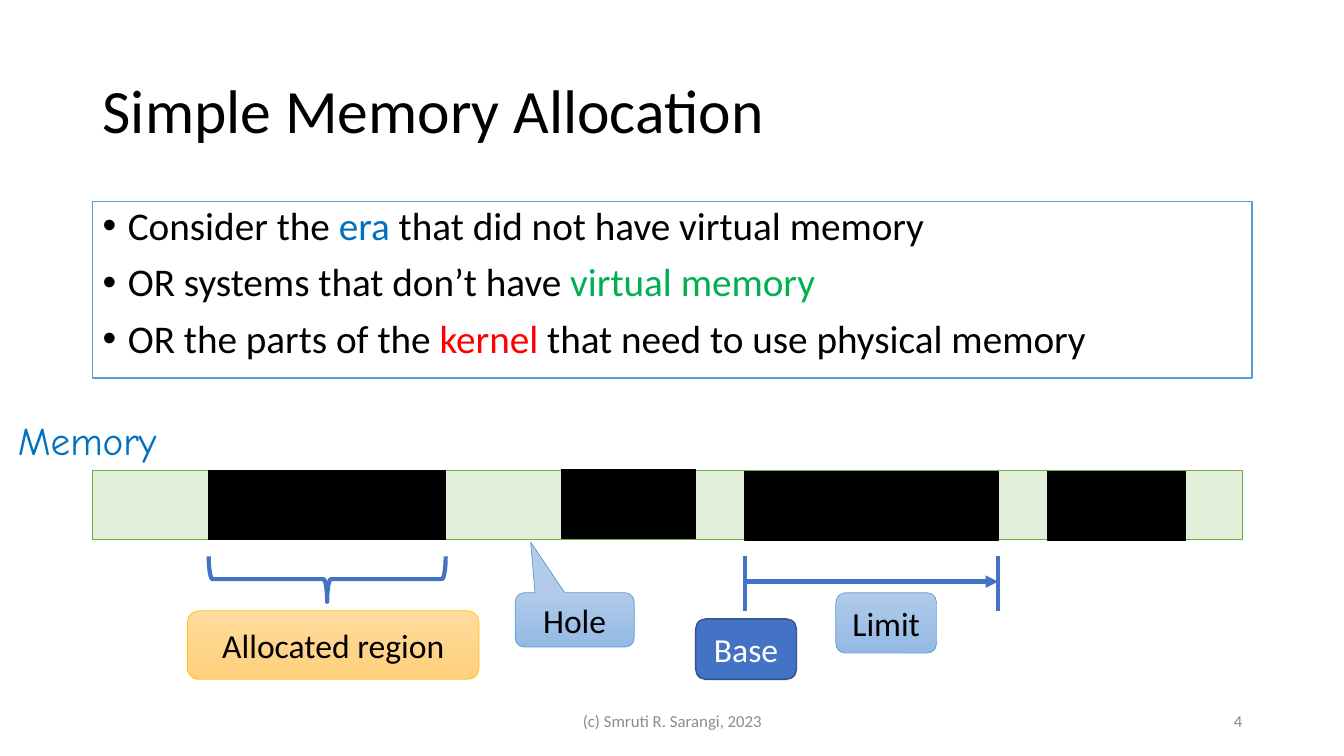
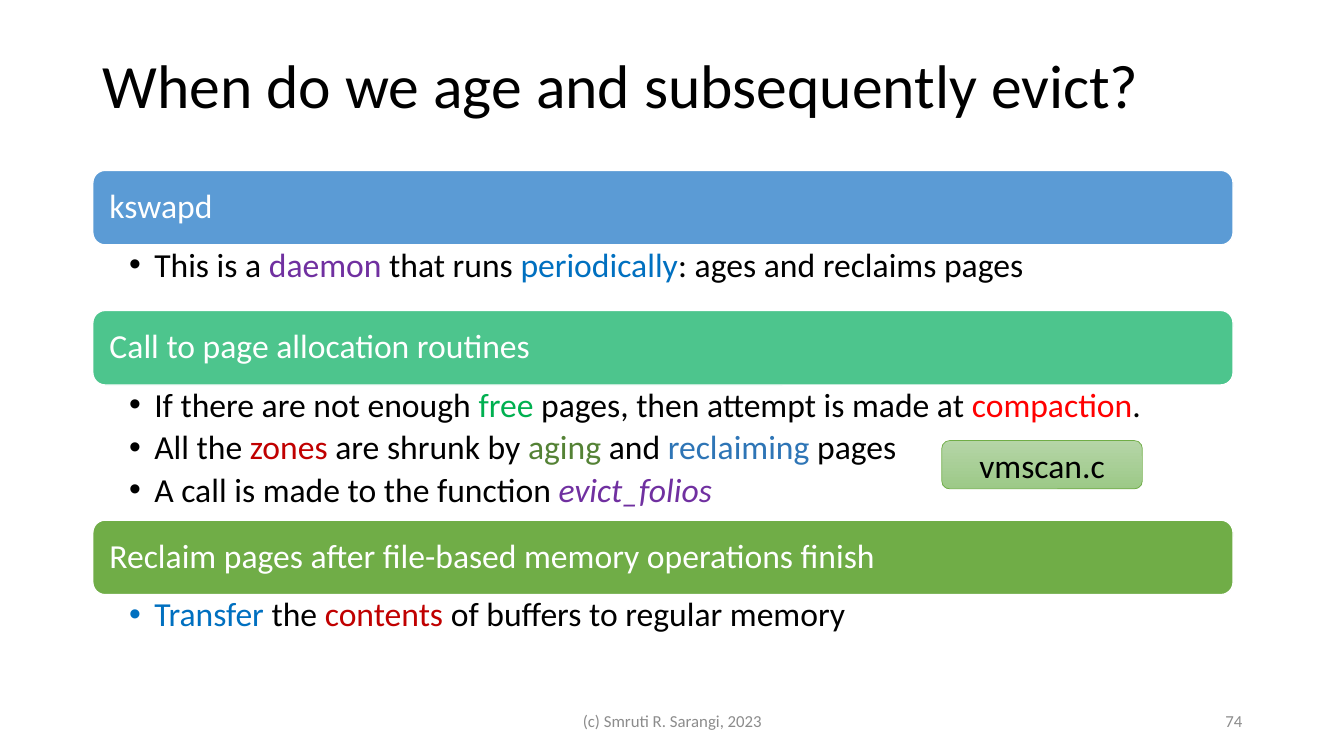
"""Build two lecture slides on memory allocation and page eviction."""
from dataclasses import dataclass
from typing import NamedTuple

from lxml.etree import SubElement
from pptx import Presentation
from pptx.dml.color import RGBColor
from pptx.enum.shapes import MSO_CONNECTOR, MSO_SHAPE
from pptx.enum.text import MSO_ANCHOR, PP_ALIGN
from pptx.oxml.ns import qn
from pptx.presentation import Presentation as Deck
from pptx.shapes.autoshape import Shape
from pptx.slide import Slide
from pptx.util import Inches, Pt

COLORS = {
    "black": "000000", "white": "FFFFFF", "gray": "8C8C8C",
    "blue": "0070C0", "green": "00B050", "red": "FF0000",
    "dark red": "C00000", "purple": "7030A0", "olive": "548235",
    "steel": "2E75B6", "sky": "5B9BD5", "mint": "4DC58D",
    "leaf": "70AD47", "pale leaf": "E2F0D9", "gold": "FFC000",
    "royal": "4472C4", "navy": "325491",
    "gold top": "FFDB9E", "gold base": "FFD07C",
    "sky top": "B1CBE9", "sky base": "93B9E4",
    "leaf top": "B5D5A7", "leaf base": "9CC987",
}
FONT = "Calibri"
LEFT = 0.92
WIDTH = 11.5


class Area(NamedTuple):
    left: float
    top: float
    width: float
    height: float


class Span(NamedTuple):
    text: str
    color: str = ""
    italic: bool = False


Line = list[Span]


@dataclass(frozen=True)
class TextStyle:
    size: float
    color: str = "black"
    font: str = FONT
    align: PP_ALIGN = PP_ALIGN.LEFT
    anchor: MSO_ANCHOR = MSO_ANCHOR.MIDDLE
    spacing: float = 1.0
    before: float = 0
    after: float = 0
    bullet: bool = False
    wrap: bool = True
    margins: tuple[float, float, float, float] = (0.1, 0.05, 0.1, 0.05)


@dataclass(frozen=True)
class Look:
    fill: tuple[str, ...]
    line: str
    weight: float = 1


@dataclass(frozen=True)
class Label:
    text: str
    area: Area
    look: Look
    color: str = "black"
    kind: MSO_SHAPE = MSO_SHAPE.ROUNDED_RECTANGLE
    adjustments: tuple[float, ...] = ()


@dataclass(frozen=True)
class Section:
    heading: str
    color: str
    height: float
    lines: list[Line]


TITLE = TextStyle(44, spacing=0.9)
FOOTER = TextStyle(12, "gray", align=PP_ALIGN.CENTER)
NUMBER = TextStyle(12, "gray", align=PP_ALIGN.RIGHT)
BODY = TextStyle(28, anchor=MSO_ANCHOR.TOP, spacing=0.9, before=10, bullet=True)
MEMORY = TextStyle(28, "blue", "Comic Neue", anchor=MSO_ANCHOR.TOP, wrap=False)
HEADING = TextStyle(24, "white", spacing=0.9, margins=(0.13, 0.1, 0.13, 0.1))
DETAIL = TextStyle(24, anchor=MSO_ANCHOR.TOP, spacing=0.9, after=4.5, bullet=True,
                   margins=(0.36, 0.03, 0.19, 0.03))

GOLD = Look(("gold top", "gold base"), "gold", 0.5)
SKY = Look(("sky top", "sky base"), "sky", 0.5)
LEAF = Look(("leaf top", "leaf base"), "leaf", 0.5)

ERA_LINES = [
    [Span("Consider the "), Span("era", "blue"), Span(" that did not have virtual memory")],
    [Span("OR systems that don’t have "), Span("virtual memory", "green")],
    [Span("OR the parts of the "), Span("kernel", "red"),
     Span(" that need to use physical memory")],
]
MEMORY_BAR = Area(LEFT, 4.67, 11.4, 0.68)
ALLOCATED = Area(2.07, 4.67, 2.35, 0.68)
LIMITED = Area(7.39, 4.68, 2.51, 0.68)
BLOCKS = [ALLOCATED, Area(5.57, 4.66, 1.33, 0.68), LIMITED, Area(10.39, 4.68, 1.37, 0.68)]
MARK_TOP = 5.52
LABELS = [
    Label("Allocated region", Area(1.86, 6.06, 2.89, 0.68), GOLD),
    Label("Base", Area(6.9, 6.14, 1, 0.6), Look(("royal",), "navy"), "white"),
    Label("Limit", Area(8.29, 5.88, 1, 0.6), SKY),
    Label("Hole", Area(5.11, 5.88, 1.18, 0.54), SKY,
          kind=MSO_SHAPE.ROUNDED_RECTANGULAR_CALLOUT, adjustments=(-0.37, -1.43, 0.17)),
]
SOURCE_FILE = Label("vmscan.c", Area(9.34, 4.37, 1.99, 0.48), LEAF)
SECTIONS = [
    Section("kswapd", "sky", 0.65, [
        [Span("This is a "), Span("daemon", "purple"), Span(" that runs "),
         Span("periodically", "blue"), Span(": ages and reclaims pages")],
    ]),
    Section("Call to page allocation routines", "mint", 1.34, [
        [Span("If there are not enough "), Span("free", "green"),
         Span(" pages, then attempt is made at "), Span("compaction", "red"), Span(".")],
        [Span("All the "), Span("zones", "dark red"), Span(" are shrunk by "),
         Span("aging", "olive"), Span(" and "), Span("reclaiming", "steel"), Span(" pages")],
        [Span("A call is made to the function "), Span("evict_folios", "purple", True)],
    ]),
    Section("Reclaim pages after file-based memory operations finish", "leaf", 0.65, [
        [Span("Transfer", "blue"), Span(" the "), Span("contents", "dark red"),
         Span(" of buffers to regular memory")],
    ]),
]


def rgb(name: str) -> RGBColor:
    """Look up a colour by name."""
    return RGBColor.from_string(COLORS[name])


def write(shape: Shape, lines: list[Line], style: TextStyle) -> None:
    """Fill a shape with styled paragraphs."""
    frame = shape.text_frame
    frame.word_wrap = style.wrap
    frame.vertical_anchor = style.anchor
    (frame.margin_left, frame.margin_top,
     frame.margin_right, frame.margin_bottom) = map(Inches, style.margins)
    for index, line in enumerate(lines):
        para = frame.add_paragraph() if index else frame.paragraphs[0]
        para.alignment = style.align
        para.line_spacing = style.spacing
        para.space_before = Pt(style.before if index else 0)
        para.space_after = Pt(style.after)
        if style.bullet:
            properties = para._p.get_or_add_pPr()
            properties.set("marL", str(Inches(0.25)))
            properties.set("indent", str(Inches(-0.25)))
            SubElement(properties, qn("a:buFont"), typeface="Arial")
            SubElement(properties, qn("a:buChar"), char="•")
        para.font.name = style.font
        para.font.size = Pt(style.size)
        for span in line:
            run = para.add_run()
            run.text = span.text
            run.font.color.rgb = rgb(span.color or style.color)
            if span.italic:
                run.font.italic = True


def add_text(page: Slide, area: Area, lines: list[Line], style: TextStyle) -> None:
    """Add a text box."""
    write(page.shapes.add_textbox(*map(Inches, area)), lines, style)


def add_box(page: Slide, area: Area, look: Look,
            kind: MSO_SHAPE = MSO_SHAPE.RECTANGLE) -> Shape:
    """Add a shape with a plain, graded or empty fill."""
    box = page.shapes.add_shape(kind, *map(Inches, area))
    box.shadow.inherit = False
    if len(look.fill) > 1:
        box.fill.gradient()
        box.fill.gradient_angle = 270
        for stop, name in zip(box.fill.gradient_stops, look.fill):
            stop.color.rgb = rgb(name)
    elif look.fill:
        box.fill.solid()
        box.fill.fore_color.rgb = rgb(look.fill[0])
    else:
        box.fill.background()
    box.line.color.rgb = rgb(look.line)
    box.line.width = Pt(look.weight)
    return box


def add_label(page: Slide, label: Label) -> None:
    """Add a shape with a centred caption."""
    box = add_box(page, label.area, label.look, label.kind)
    for index, value in enumerate(label.adjustments):
        box.adjustments[index] = value
    write(box, [[Span(label.text)]], TextStyle(24, label.color, align=PP_ALIGN.CENTER))


def add_line(page: Slide, start: tuple[float, float], end: tuple[float, float],
             arrow: bool = False) -> None:
    """Add a marker line, with an arrowhead at its end if wanted."""
    line = page.shapes.add_connector(MSO_CONNECTOR.STRAIGHT, *map(Inches, start + end))
    line.line.color.rgb = rgb("royal")
    line.line.width = Pt(3)
    if arrow:
        SubElement(line.line._get_or_add_ln(), qn("a:tailEnd"), type="triangle")
    SubElement(line._element.spPr, qn("a:effectLst"))


def add_page(deck: Deck, title: str, title_top: float, number: int) -> Slide:
    """Add a slide with its title and footer."""
    page = deck.slides.add_slide(deck.slide_layouts[6])
    add_text(page, Area(LEFT, title_top, WIDTH, 1.45), [[Span(title)]], TITLE)
    add_text(page, Area(4.42, 6.95, 4.5, 0.4), [[Span("(c) Smruti R. Sarangi, 2023")]], FOOTER)
    add_text(page, Area(9.42, 6.95, 3, 0.4), [[Span(str(number))]], NUMBER)
    return page


def add_allocation_page(deck: Deck) -> None:
    """Show memory as a bar of allocated regions and holes."""
    page = add_page(deck, "Simple Memory Allocation", 0.4, 4)
    body = add_box(page, Area(LEFT, 2, WIDTH, 1.75), Look(("white",), "sky"))
    write(body, ERA_LINES, BODY)
    add_box(page, MEMORY_BAR, Look(("pale leaf",), "leaf", 0.5))
    for block in BLOCKS:
        add_box(page, block, Look(("black",), "black"))
    depth = 0.45
    brace_area = Area(ALLOCATED.left + (ALLOCATED.width - depth) / 2,
                      MARK_TOP + (depth - ALLOCATED.width) / 2, depth, ALLOCATED.width)
    brace = add_box(page, brace_area, Look((), "royal", 3), MSO_SHAPE.LEFT_BRACE)
    brace.rotation = 270
    add_text(page, Area(0.08, 4.08, 1.67, 0.57), [[Span("Memory")]], MEMORY)
    base, limit = LIMITED.left, LIMITED.left + LIMITED.width
    for edge in (base, limit):
        add_line(page, (edge, MARK_TOP), (edge, 6.06))
    add_line(page, (base, 5.77), (limit, 5.77), arrow=True)
    for label in LABELS:
        add_label(page, label)


def add_eviction_page(deck: Deck) -> None:
    """List the events that trigger aging and eviction."""
    page = add_page(deck, "When do we age and subsequently evict?", 0.15, 74)
    top, width, bar_height = 1.69, 11.31, 0.74
    for section in SECTIONS:
        bar = add_box(page, Area(LEFT, top, width, bar_height),
                      Look((section.color,), "white"), MSO_SHAPE.ROUNDED_RECTANGLE)
        write(bar, [[Span(section.heading)]], HEADING)
        top += bar_height
        add_text(page, Area(LEFT, top, width, section.height), section.lines, DETAIL)
        top += section.height
    add_label(page, SOURCE_FILE)


def main() -> None:
    """Build and save the deck."""
    deck = Presentation()
    deck.slide_width, deck.slide_height = Inches(13.33), Inches(7.5)
    add_allocation_page(deck)
    add_eviction_page(deck)
    deck.save("out.pptx")


if __name__ == "__main__":
    main()
